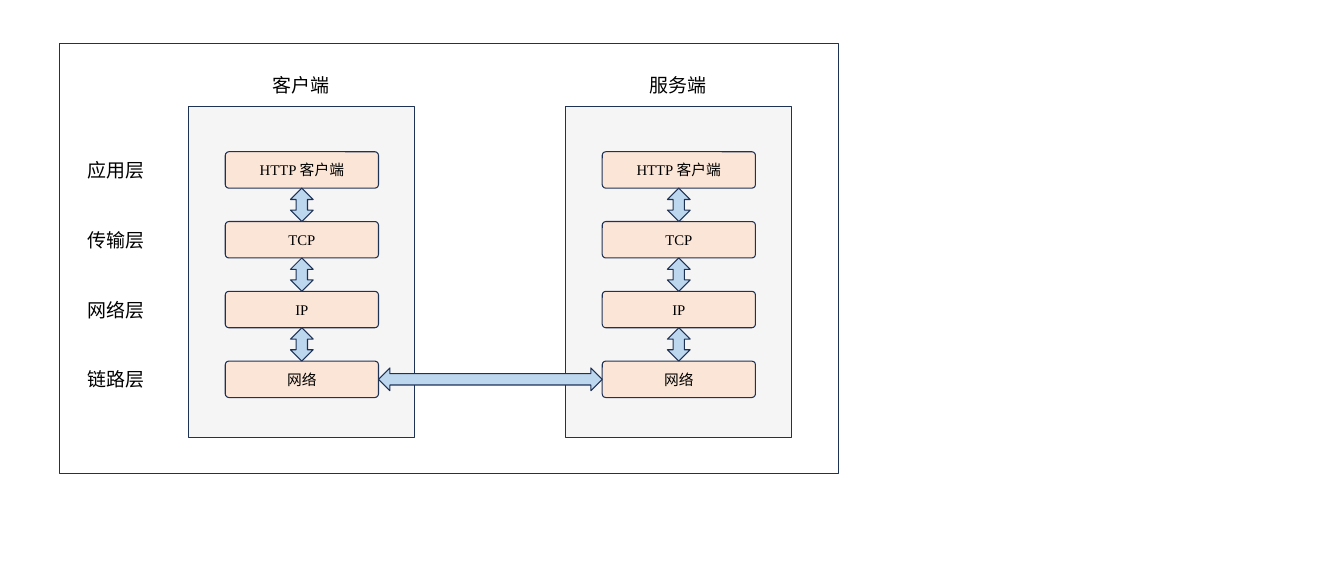
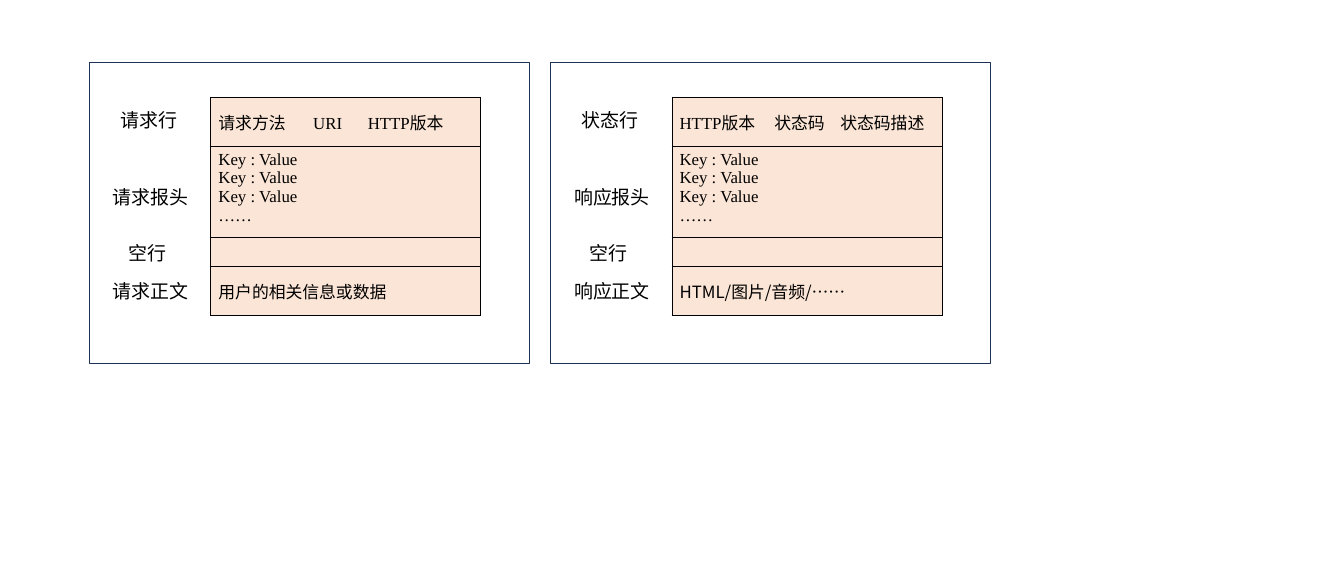
import dataclasses
import typing

import lxml.etree
import pptx
import pptx.dml.color
import pptx.enum.shapes
import pptx.enum.text
import pptx.oxml
import pptx.oxml.ns
import pptx.util

PX = 9144
COLORS = {
    "white": "FFFFFF",
    "black": "000000",
    "navy": "1E3256",
    "grey": "E7E6E6",
    "peach": "FBE5D6",
    "blue": "BDD7EE",
}
SANS = "Noto Sans CJK SC"
SERIF = "Times New Roman"
SHAPE = pptx.enum.shapes.MSO_SHAPE
MIDDLE = pptx.enum.text.MSO_ANCHOR.MIDDLE

Run = tuple[str, str]
Line = list[Run]

PITCH = 92
BOX_TOP, BOX_W, BOX_H = 200, 202, 48
PANEL_W = 298
BOX_INDENT = (PANEL_W - BOX_W) // 2
ARROW_W = 30
ROW_HEIGHTS = [65, 120, 38, 65]
LABEL_TOPS = [138, 240, 314, 363]
HEADER_LINES: list[Line] = [[("Key : Value", SERIF)]] * 3 + [[("……", SERIF)]]


@dataclasses.dataclass
class Layer:
    label: str
    runs: Line


@dataclasses.dataclass
class Host:
    title: str
    left: int


@dataclasses.dataclass
class Message:
    left: int
    labels: list[str]
    start_line: Line
    tabs: list[int]
    body: Line


LAYERS = [
    Layer("应用层", [("HTTP ", SERIF), ("客户端", SANS)]),
    Layer("传输层", [("TCP", SERIF)]),
    Layer("网络层", [("IP", SERIF)]),
    Layer("链路层", [("网络", SANS)]),
]
HOSTS = [Host("客户端", 249), Host("服务端", 746)]
MESSAGES = [
    Message(
        118,
        ["请求行", "请求报头", "空行", "请求正文"],
        [("请求方法\t", SANS), ("URI\tHTTP", SERIF), ("版本", SANS)],
        [125, 197],
        [("用户的相关信息或数据", SANS)],
    ),
    Message(
        726,
        ["状态行", "响应报头", "空行", "响应正文"],
        [("HTTP", SERIF), ("版本\t状态码\t状态码描述", SANS)],
        [125, 212],
        [("HTML/图片/音频/……", SANS)],
    ),
]


def rgb(name: str) -> pptx.dml.color.RGBColor:
    return pptx.dml.color.RGBColor.from_string(COLORS[name])


def add_child(parent: typing.Any, tag: str, **attrs: str) -> typing.Any:
    child = lxml.etree.SubElement(parent, pptx.oxml.ns.qn(tag))
    for key, value in attrs.items():
        child.set(key, value)
    return child


def add_runs(p: typing.Any, runs: Line, size: int) -> None:
    for text, font in runs:
        r = p.add_run()
        r.text = text
        r.font.size = pptx.util.Pt(size)
        r.font.name = font
        r.font.color.rgb = rgb("black")
        add_child(r.font._element, "a:ea", typeface=font)


def add_box(shapes: typing.Any, kind: SHAPE, left: int, top: int,
            width: int, height: int, fill: str) -> typing.Any:
    sp = shapes.add_shape(kind, left * PX, top * PX, width * PX, height * PX)
    sp.shadow.inherit = False
    sp.fill.solid()
    sp.fill.fore_color.rgb = rgb(fill)
    sp.line.color.rgb = rgb("navy")
    sp.line.width = pptx.util.Pt(1)
    return sp


def add_label(shapes: typing.Any, text: str, left: int, top: int,
              width: int, wrap: bool) -> None:
    sp = shapes.add_textbox(left * PX, top * PX, width * PX, 40 * PX)
    tf = sp.text_frame
    tf.word_wrap = wrap
    tf.auto_size = pptx.enum.text.MSO_AUTO_SIZE.SHAPE_TO_FIT_TEXT
    add_runs(tf.paragraphs[0], [(text, SANS)], 18)


def add_host(shapes: typing.Any, host: Host) -> None:
    add_label(shapes, host.title, host.left + 101, 92, 96, False)
    panel = add_box(shapes, SHAPE.RECTANGLE, host.left, 141, PANEL_W, 436, "grey")
    color = panel.fill._xPr.find(".//" + pptx.oxml.ns.qn("a:srgbClr"))
    add_child(color, "a:alpha", val="40000")
    for i, layer in enumerate(LAYERS):
        top = BOX_TOP + i * PITCH
        sp = add_box(shapes, SHAPE.ROUNDED_RECTANGLE, host.left + BOX_INDENT, top,
                     BOX_W, BOX_H, "peach")
        sp.adjustments[0] = 0.1
        tf = sp.text_frame
        tf.vertical_anchor = MIDDLE
        p = tf.paragraphs[0]
        p.alignment = pptx.enum.text.PP_ALIGN.CENTER
        add_runs(p, layer.runs, 14)
        if i:
            add_box(shapes, SHAPE.UP_DOWN_ARROW,
                    host.left + (PANEL_W - ARROW_W) // 2, top - PITCH + BOX_H,
                    ARROW_W, PITCH - BOX_H, "blue")


def build_layers(s: typing.Any) -> None:
    shapes = s.shapes.add_group_shape().shapes
    add_box(shapes, SHAPE.RECTANGLE, 79, 58, 1027, 566, "white")
    for i, layer in enumerate(LAYERS):
        add_label(shapes, layer.label, 106, 204 + i * PITCH, 96, False)
    for host in HOSTS:
        add_host(shapes, host)
    start = HOSTS[0].left + BOX_INDENT + BOX_W
    end = HOSTS[1].left + BOX_INDENT
    link_top = BOX_TOP + (len(LAYERS) - 1) * PITCH + (BOX_H - ARROW_W) // 2
    add_box(shapes, SHAPE.LEFT_RIGHT_ARROW, start, link_top, end - start, ARROW_W, "blue")


def add_borders(cell: typing.Any) -> None:
    tc_pr = cell._tc.get_or_add_tcPr()
    for i, side in enumerate(["a:lnL", "a:lnR", "a:lnT", "a:lnB"]):
        ln = add_child(tc_pr, side, w="12700")
        add_child(add_child(ln, "a:solidFill"), "a:srgbClr", val=COLORS["black"])
        tc_pr.insert(i, ln)


def fill_cell(cell: typing.Any, lines: list[Line]) -> None:
    cell.fill.solid()
    cell.fill.fore_color.rgb = rgb("peach")
    add_borders(cell)
    tf = cell.text_frame
    if not lines:
        add_child(tf.paragraphs[0]._p, "a:endParaRPr", sz="1600")
    if len(lines) == 1:
        cell.vertical_anchor = MIDDLE
    for i, runs in enumerate(lines):
        p = tf.add_paragraph() if i else tf.paragraphs[0]
        add_runs(p, runs, 16)


def add_message(s: typing.Any, message: Message) -> None:
    add_box(s.shapes, SHAPE.RECTANGLE, message.left, 82, 580, 397, "white")
    frame = s.shapes.add_table(len(ROW_HEIGHTS), 1, (message.left + 160) * PX, 128 * PX,
                               356 * PX, sum(ROW_HEIGHTS) * PX)
    table = frame.table
    table.first_row = False
    table.horz_banding = False
    contents = [[message.start_line], HEADER_LINES, [], [message.body]]
    for i, (height, lines) in enumerate(zip(ROW_HEIGHTS, contents)):
        table.rows[i].height = height * PX
        fill_cell(table.cell(i, 0), lines)
    p_pr = table.cell(0, 0).text_frame.paragraphs[0]._p.get_or_add_pPr()
    tab_list = add_child(p_pr, "a:tabLst")
    for tab in message.tabs:
        add_child(tab_list, "a:tab", pos=str(tab * PX), algn="l")
    for text, top in zip(message.labels, LABEL_TOPS):
        width = 20 * len(text) + 42
        add_label(s.shapes, text, message.left + 82 - width // 2, top, width, True)


def build_messages(s: typing.Any) -> None:
    for message in MESSAGES:
        add_message(s, message)


def main() -> None:
    prs = pptx.Presentation()
    prs.slide_width = 1772 * PX
    prs.slide_height = 750 * PX
    for build in [build_layers, build_messages]:
        build(prs.slides.add_slide(prs.slide_layouts[6]))
    prs.save("out.pptx")


if __name__ == "__main__":
    main()
